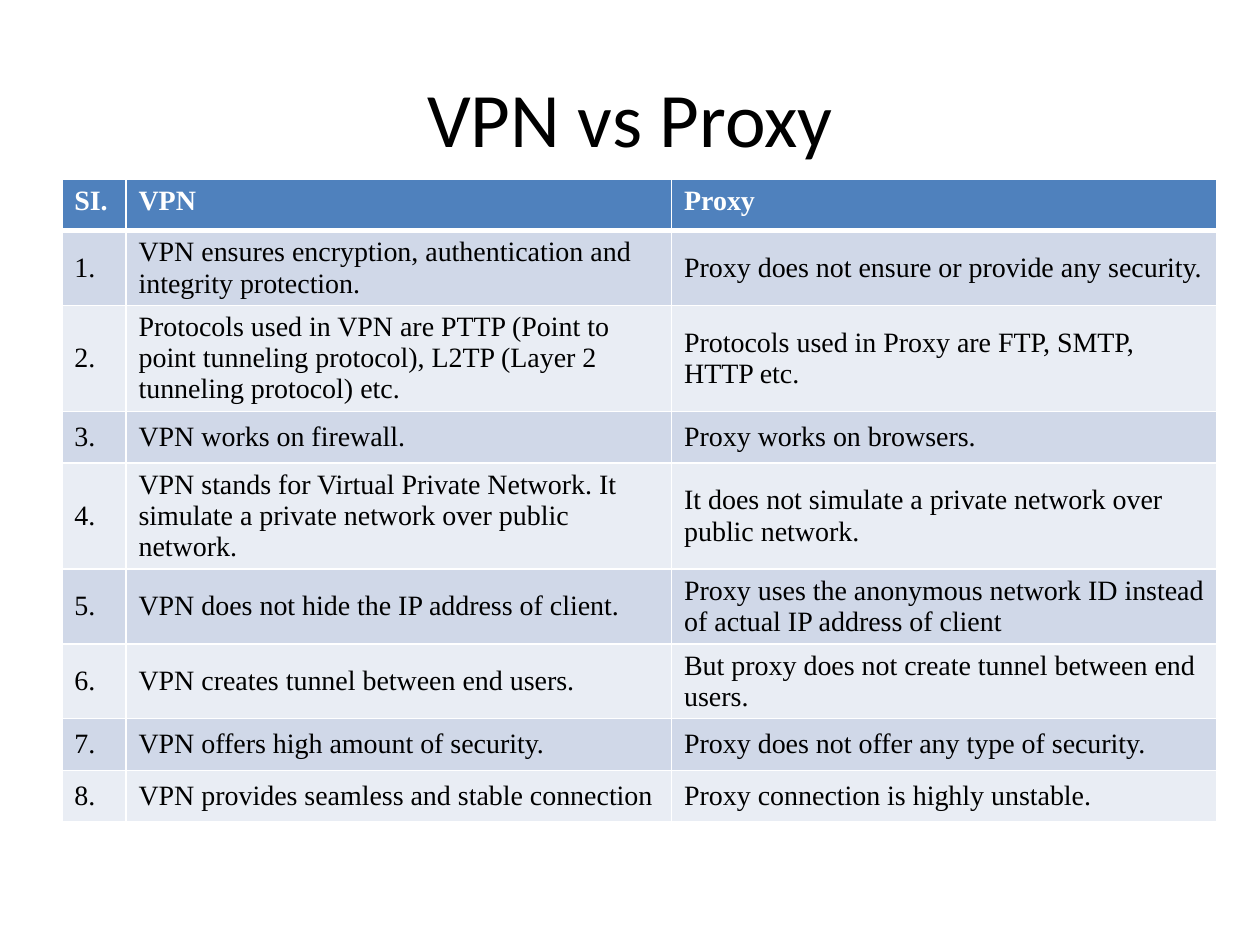
"""Build a slide with a table comparing VPN and proxy."""
from lxml import etree
from pptx import Presentation
from pptx.dml.color import RGBColor
from pptx.enum.text import MSO_ANCHOR, PP_ALIGN
from pptx.oxml.ns import qn
from pptx.util import Inches, Pt

TOP, MIDDLE = MSO_ANCHOR.TOP, MSO_ANCHOR.MIDDLE
CENTER = PP_ALIGN.CENTER
THEME = {
    "title_font": "Calibri", "title_size": 44,
    "font": "Times New Roman", "size": 16,
    "text": "000000", "light": "FFFFFF", "header": "4F81BD",
    "bands": ("E9EDF4", "D0D8E8"),
}
HEADERS = ("SI.", "VPN", "Proxy")
COMPARISONS = [
    ("VPN ensures encryption, authentication and integrity protection.",
     "Proxy does not ensure or provide any security."),
    ("Protocols used in VPN are PTTP (Point to point tunneling protocol), "
     "L2TP (Layer 2 tunneling protocol) etc.",
     "Protocols used in Proxy are FTP, SMTP, HTTP etc."),
    ("VPN works on firewall.", "Proxy works on browsers."),
    ("VPN stands for Virtual Private Network. It simulate a private network "
     "over public network.",
     "It does not simulate a private network over public network."),
    ("VPN does not hide the IP address of client.",
     "Proxy uses the anonymous network ID instead of actual IP address of client"),
    ("VPN creates tunnel between end users.",
     "But proxy does not create tunnel between end users."),
    ("VPN offers high amount of security.",
     "Proxy does not offer any type of security."),
    ("VPN provides seamless and stable connection",
     "Proxy connection is highly unstable."),
]
COL_WIDTHS = (0.51, 4.33, 4.33)
ROW_HEIGHT = 0.41


def format_run(r, font, size, color, bold=False):
    """Set the typeface, size, colour and weight of a run."""
    r.font.name = font
    r.font.size = Pt(size)
    r.font.bold = bold
    r.font.color.rgb = RGBColor.from_string(color)


def add_border(cell, side, width):
    """Draw one side of a cell's border."""
    ln = etree.SubElement(cell._tc.get_or_add_tcPr(), qn(f"a:ln{side}"), w=str(Pt(width)))
    fill = etree.SubElement(ln, qn("a:solidFill"))
    etree.SubElement(fill, qn("a:srgbClr"), val=THEME["light"])


prs = Presentation()
prs.slide_width, prs.slide_height = Inches(10), Inches(7.5)
s = prs.slides.add_slide(prs.slide_layouts[5])

title = s.shapes.title
title.left, title.top = Inches(0.5), Inches(0.3)
title.width, title.height = Inches(9), Inches(1.25)
tf = title.text_frame
tf.text = "VPN vs Proxy"
tf.vertical_anchor = MIDDLE
p = tf.paragraphs[0]
p.alignment = CENTER
format_run(p.runs[0], THEME["title_font"], THEME["title_size"], THEME["text"])

rows = [HEADERS] + [(f"{n}.", *pair) for n, pair in enumerate(COMPARISONS, 1)]
frame = s.shapes.add_table(len(rows), len(HEADERS), Inches(0.49), Inches(1.42),
                           Inches(sum(COL_WIDTHS)), Inches(ROW_HEIGHT * len(rows)))
table = frame.table
for column, width in zip(table.columns, COL_WIDTHS):
    column.width = Inches(width)

for i, row in enumerate(rows):
    table.rows[i].height = Inches(ROW_HEIGHT)
    is_header = i == 0
    for j, text in enumerate(row):
        cell = table.cell(i, j)
        cell.text_frame.text = text
        cell.vertical_anchor = TOP if is_header else MIDDLE
        format_run(cell.text_frame.paragraphs[0].runs[0], THEME["font"], THEME["size"],
                   THEME["light"] if is_header else THEME["text"], is_header)
        for side in "LRTB":
            thick = (is_header and side == "B") or (i == 1 and side == "T")
            add_border(cell, side, 3 if thick else 1)
        cell.fill.solid()
        cell.fill.fore_color.rgb = RGBColor.from_string(
            THEME["header"] if is_header else THEME["bands"][i % 2])

prs.save("out.pptx")
